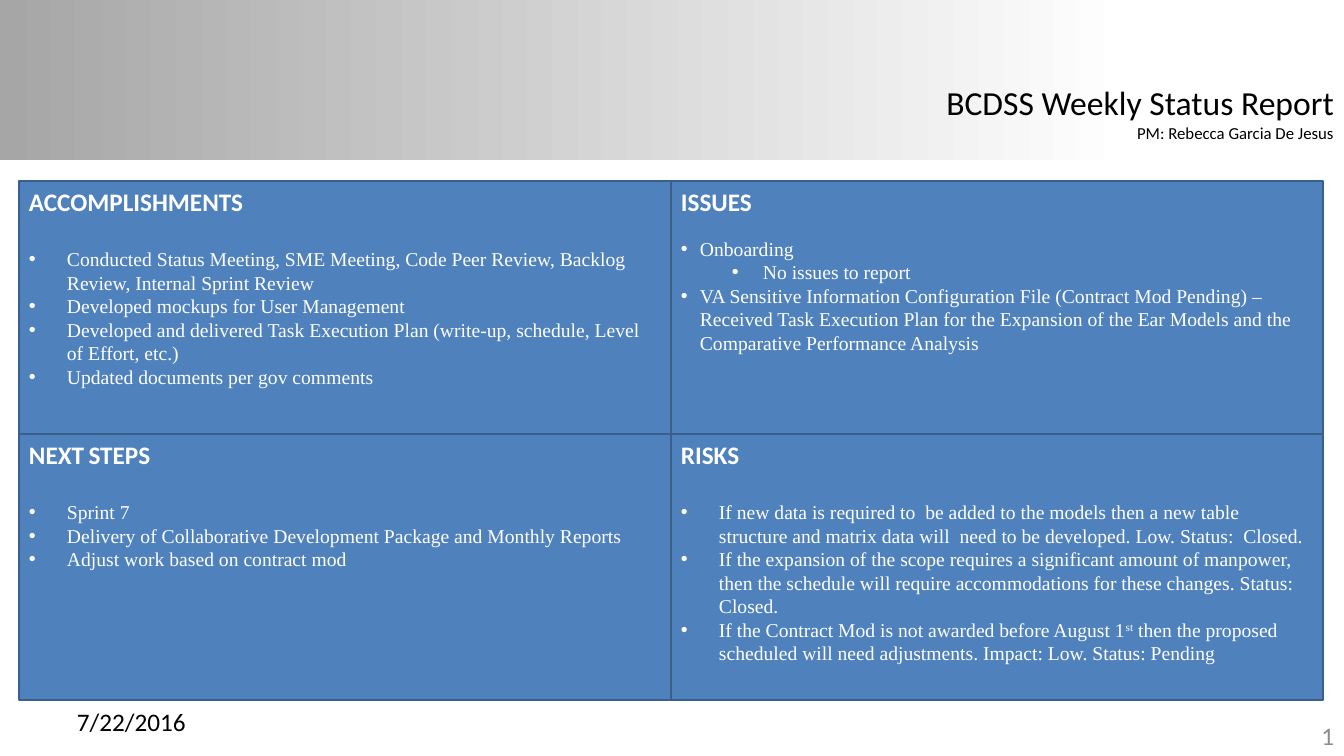
import pptx
import pptx.dml.color
import pptx.enum.shapes
import pptx.enum.text
import pptx.oxml
import pptx.oxml.ns
import pptx.util

ALIGN = pptx.enum.text.PP_ALIGN
ANCHOR = pptx.enum.text.MSO_ANCHOR
AUTO_SIZE = pptx.enum.text.MSO_AUTO_SIZE
RECTANGLE = pptx.enum.shapes.MSO_SHAPE.RECTANGLE
WIDTH, HEIGHT = 1344, 756


def px(length):
    return pptx.util.Emu(round(length * 914400 / 100.8))


def color(value):
    return pptx.dml.color.RGBColor.from_string(value)


class StatusSlide:
    """Draw the elements of a weekly status slide in one style."""

    heading_font = "Calibri"
    body_font = "Times New Roman"
    panel_fill, panel_line = "4F81BD", "3A5F8C"
    black, white, gray = "000000", "FFFFFF", "8C8C8C"

    def __init__(self, presentation):
        self.slide = presentation.slides.add_slide(presentation.slide_layouts[5])

    def run(self, paragraph, text, size, font, fill, bold=False, baseline=0):
        run = paragraph.add_run()
        run.text = text
        run.font.size = pptx.util.Pt(size)
        run.font.name = font
        run.font.bold = bold
        run.font.color.rgb = color(fill)
        if baseline:
            run._r.get_or_add_rPr().set("baseline", str(baseline * 1000))

    def rectangle(self, left, top, width, height):
        shape = self.slide.shapes.add_shape(RECTANGLE, px(left), px(top), px(width), px(height))
        shape.shadow.inherit = False
        return shape

    def header_band(self, height):
        band = self.rectangle(0, 0, WIDTH, height)
        band.line.fill.background()
        band.fill.gradient()
        band.fill.gradient_angle = 0
        for stop, position, value in zip(band.fill.gradient_stops, (0, 0.84), ("A6A6A6", self.white)):
            stop.position = position
            stop.color.rgb = color(value)
        self.slide.shapes._spTree.insert(2, band._element)

    def title(self, left, top, width, height, lines):
        title = self.slide.shapes.title
        title.left, title.top, title.width, title.height = map(px, (left, top, width, height))
        frame = title.text_frame
        frame.word_wrap = False
        frame.auto_size = AUTO_SIZE.SHAPE_TO_FIT_TEXT
        frame.vertical_anchor = ANCHOR.TOP
        for index, (text, size) in enumerate(lines):
            paragraph = frame.add_paragraph() if index else frame.paragraphs[0]
            paragraph.alignment = ALIGN.RIGHT
            self.run(paragraph, text, size, self.heading_font, self.black)

    def footer(self, left, top, text, fill, alignment):
        box = self.slide.shapes.add_textbox(px(left), px(top), px(314), px(40))
        box.text_frame.word_wrap = True
        box.text_frame.vertical_anchor = ANCHOR.MIDDLE
        paragraph = box.text_frame.paragraphs[0]
        paragraph.alignment = alignment
        self.run(paragraph, text, 18, self.heading_font, fill)

    def bullet(self, paragraph, margin, hanging):
        properties = paragraph._p.get_or_add_pPr()
        properties.set("marL", str(px(margin)))
        properties.set("indent", str(-px(hanging)))
        namespace = pptx.oxml.ns.nsdecls("a")
        for tag in ('buFont {} typeface="Arial"', 'buChar {} char="•"'):
            properties.append(pptx.oxml.parse_xml(f"<a:{tag.format(namespace)}/>"))

    def panel(self, left, top, width, height, heading, gap, indent, items):
        shape = self.rectangle(left, top, width, height)
        shape.fill.solid()
        shape.fill.fore_color.rgb = color(self.panel_fill)
        shape.line.color.rgb = color(self.panel_line)
        shape.line.width = pptx.util.Pt(2)
        frame = shape.text_frame
        frame.word_wrap = True
        frame.vertical_anchor = ANCHOR.TOP
        frame.paragraphs[0].alignment = ALIGN.LEFT
        for text, size in heading:
            self.run(frame.paragraphs[0], text, size, self.heading_font, self.white, bold=True)
        for index, (level, runs) in enumerate(items):
            paragraph = frame.add_paragraph()
            paragraph.level = level
            paragraph.alignment = ALIGN.LEFT
            paragraph.space_before = pptx.util.Pt(0 if index else gap)
            self.bullet(paragraph, *((82, 31) if level else (indent, indent)))
            for text, baseline in runs:
                self.run(paragraph, text, 14, self.body_font, self.white, baseline=baseline)


def items(*texts):
    return [(0, [(text, 0)]) for text in texts]


ACCOMPLISHMENTS = items(
    "Conducted Status Meeting, SME Meeting, Code Peer Review, Backlog Review, Internal Sprint Review",
    "Developed mockups for User Management",
    "Developed and delivered Task Execution Plan (write-up, schedule, Level of Effort, etc.)",
    "Updated documents per gov comments",
)
ISSUES = [
    (0, [("Onboarding", 0)]),
    (1, [("No issues to report", 0)]),
    (0, [("VA Sensitive Information Configuration File (Contract Mod Pending) – Received Task "
          "Execution Plan for the Expansion of the Ear Models and the Comparative Performance "
          "Analysis", 0)]),
]
NEXT_STEPS = items(
    "Sprint 7",
    "Delivery of Collaborative Development Package and Monthly Reports",
    "Adjust work based on contract mod",
)
RISKS = items(
    "If new data is required to  be added to the models then a new table structure and matrix "
    "data will  need to be developed. Low. Status:  Closed.",
    "If the expansion of the scope requires a significant amount of manpower, then the schedule "
    "will require accommodations for these changes. Status: Closed.",
) + [
    (0, [("If the Contract Mod is not awarded before August 1", 0), ("st", 30),
         (" then the proposed scheduled will need adjustments. Impact: Low. Status: Pending", 0)]),
]
PANELS = [
    ([("ACCOMPLISHMENTS", 18)], 22, 38, ACCOMPLISHMENTS),
    ([("NEXT", 18), (" ", 14), ("STEPS", 18)], 22, 38, NEXT_STEPS),
    ([("ISSUES", 18)], 14.5, 19, ISSUES),
    ([("RISKS", 18)], 22, 38, RISKS),
]


def main():
    presentation = pptx.Presentation()
    presentation.slide_width, presentation.slide_height = px(WIDTH), px(HEIGHT)
    report = StatusSlide(presentation)
    report.header_band(160)
    report.footer(1030, 715, "1", report.gray, ALIGN.RIGHT)
    report.footer(67, 701, "7/22/2016", report.black, ALIGN.LEFT)
    report.title(932, 77, 412, 72, [("BCDSS Weekly Status Report", 24),
                                    ("PM: Rebecca Garcia De Jesus", 12)])
    rows = [(181, 253), (434, 266)]
    for index, panel in enumerate(PANELS):
        column, row = divmod(index, 2)
        top, height = rows[row]
        report.panel(19 + 652 * column, top, 652, height, *panel)
    presentation.save("out.pptx")


if __name__ == "__main__":
    main()
